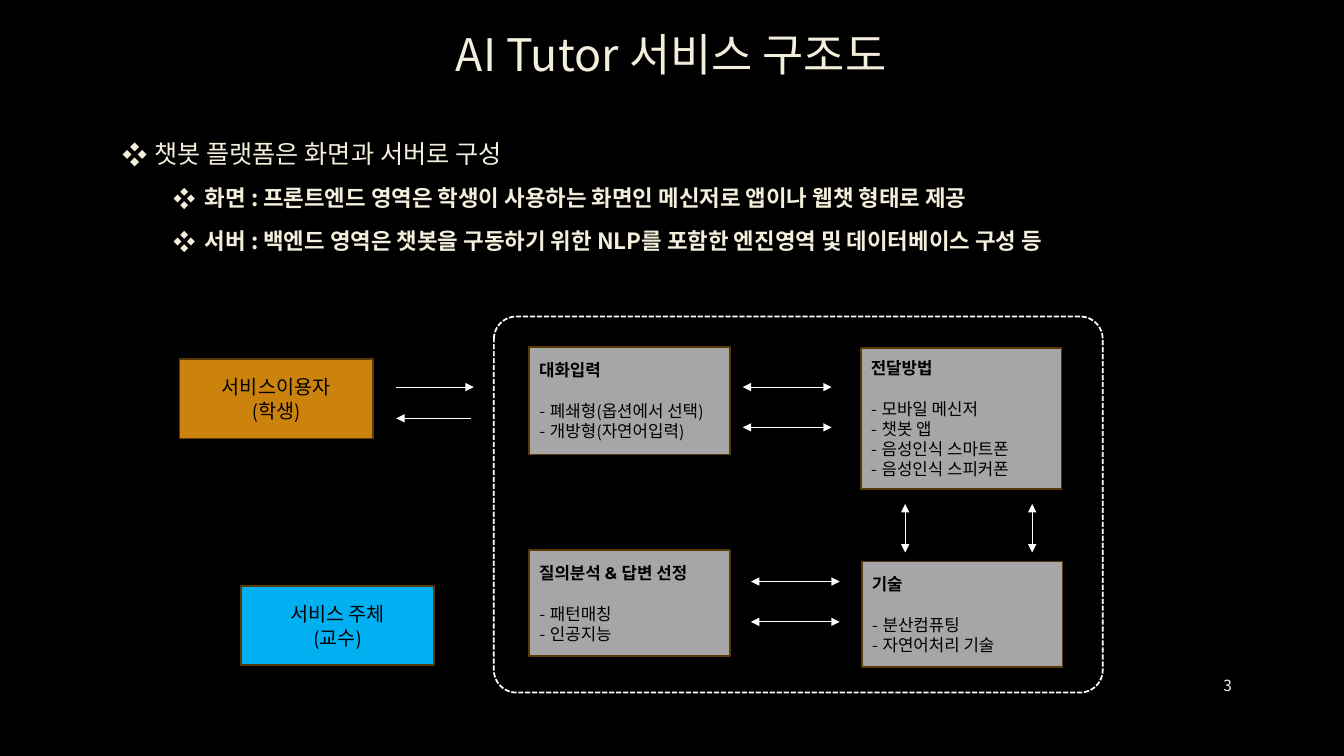
"""Build the AI Tutor service structure slide."""
from dataclasses import dataclass

from lxml import etree
from pptx import Presentation
from pptx.dml.color import RGBColor
from pptx.enum.dml import MSO_LINE
from pptx.enum.shapes import MSO_CONNECTOR, MSO_SHAPE
from pptx.enum.text import MSO_ANCHOR, MSO_AUTO_SIZE, PP_ALIGN
from pptx.oxml.ns import qn
from pptx.util import Pt

RECTANGLE, ROUNDED = MSO_SHAPE.RECTANGLE, MSO_SHAPE.ROUNDED_RECTANGLE
STRAIGHT, DASHED = MSO_CONNECTOR.STRAIGHT, MSO_LINE.SQUARE_DOT
LEFT, CENTER, RIGHT, JUSTIFY = PP_ALIGN.LEFT, PP_ALIGN.CENTER, PP_ALIGN.RIGHT, PP_ALIGN.JUSTIFY
TOP, MIDDLE = MSO_ANCHOR.TOP, MSO_ANCHOR.MIDDLE
NO_FIT, GROW = MSO_AUTO_SIZE.NONE, MSO_AUTO_SIZE.SHAPE_TO_FIT_TEXT
KOREAN, LATIN = "Noto Sans CJK KR", "Montserrat"
COLORS = {
    "background": "000000", "cream": "F4EEDC", "number": "F2F2F2", "ink": "000000",
    "user": "CC830E", "owner": "00B0F0", "card": "A6A6A6", "border": "593906",
    "white": "FFFFFF",
}


@dataclass
class Actor:
    """A person who takes part in the service."""

    left: float
    top: float
    fill: str
    lines: tuple[str, str]


@dataclass
class Card:
    """A component of the chatbot platform."""

    left: float
    top: float
    height: float
    heading: str
    items: tuple[str, ...]


@dataclass
class Arrow:
    """A straight arrow between two points."""

    start: tuple[float, float]
    end: tuple[float, float]
    double: bool = True


ACTORS = [
    Actor(128.16, 256.3, "user", ("서비스이용자", "(학생)")),
    Actor(172.1, 418.3, "owner", ("서비스 주체", "(교수)")),
]
CARDS = [
    Card(378, 247.7, 77, "대화입력", ("폐쇄형(옵션에서 선택)", "개방형(자연어입력)")),
    Card(614.9, 248.4, 100.8, "전달방법",
         ("모바일 메신저", "챗봇 앱", "음성인식 스마트폰", "음성인식 스피커폰")),
    Card(615.6, 401, 75.6, "기술", ("분산컴퓨팅", "자연어처리 기술")),
    Card(378, 393.1, 75.6, "질의분석 & 답변 선정", ("패턴매칭", "인공지능")),
]
ARROWS = [
    *(Arrow((left, top), (left + 63.4, top))
      for left, first in ((530.6, 276.5), (536.4, 415.4)) for top in (first, first + 28.8)),
    *(Arrow((left, 360), (left, 394.6)) for left in (646.6, 737.3)),
    Arrow((283, 276.5), (338.4, 276.5), double=False),
    Arrow((336.2, 298.8), (283, 298.8), double=False),
]
POINTS = [
    (0, "챗봇 플랫폼은 화면과 서버로 구성"),
    (1, "화면 : 프론트엔드 영역은 학생이 사용하는 화면인 메신저로 앱이나 웹챗 형태로 제공"),
    (1, "서버 : 백엔드 영역은 챗봇을 구동하기 위한 NLP를 포함한 엔진영역 및 데이터베이스 구성 등"),
]


def color(name: str) -> RGBColor:
    """Return a palette colour."""
    return RGBColor.from_string(COLORS[name])


def place(shape, left: float, top: float, width: float, height: float) -> None:
    """Move and size a shape in points."""
    shape.left, shape.top, shape.width, shape.height = map(Pt, (left, top, width, height))


def set_frame(frame, anchor, fit=NO_FIT) -> None:
    """Set wrapping, anchor and fitting of a text frame."""
    frame.word_wrap, frame.vertical_anchor, frame.auto_size = True, anchor, fit


def add_text(frame, text: str, *, size: float, ink: str, font: str = KOREAN,
             bold: bool = False, align=LEFT, before: float = 0, spacing: float = 1.0):
    """Write one paragraph into a text frame and return it."""
    first = frame.paragraphs[0]
    para = first if not first.runs else frame.add_paragraph()
    para.alignment, para.line_spacing = align, spacing
    para.space_before = Pt(before)
    span = para.add_run()
    span.text = text
    span.font.size, span.font.bold, span.font.name = Pt(size), bold, font
    span.font.color.rgb = color(ink)
    etree.SubElement(span.font._element, qn("a:ea"), typeface=KOREAN)
    return para


def add_bullet(para, level: int) -> None:
    """Give a paragraph a diamond bullet with a hanging indent."""
    para.level = level
    properties = para._p.get_or_add_pPr()
    properties.set("marL", str(Pt(22.5 + 36 * level)))
    properties.set("indent", str(-Pt(22.5)))
    etree.SubElement(properties, qn("a:buFont"), typeface=KOREAN)
    etree.SubElement(properties, qn("a:buChar"), char="❖")


def add_box(page, left: float, top: float, width: float, height: float, *,
            kind=RECTANGLE, fill: str | None = None, border: str = "border"):
    """Add an outlined box, filled if a colour is given."""
    box = page.shapes.add_shape(kind, *map(Pt, (left, top, width, height)))
    box.shadow.inherit = False
    if fill:
        box.fill.solid()
        box.fill.fore_color.rgb = color(fill)
    else:
        box.fill.background()
    box.line.color.rgb = color(border)
    box.line.width = Pt(1.25)
    set_frame(box.text_frame, MIDDLE)
    return box


def add_actor(page, actor: Actor) -> None:
    """Draw a participant."""
    box = add_box(page, actor.left, actor.top, 138.2, 56.9, fill=actor.fill)
    for line in actor.lines:
        add_text(box.text_frame, line, size=14, ink="ink", font=LATIN, align=CENTER)


def add_card(page, card: Card) -> None:
    """Draw a platform component with its items."""
    frame = add_box(page, card.left, card.top, 143.3, card.height, fill="card").text_frame
    add_text(frame, card.heading, size=12, ink="ink", font=LATIN, bold=True)
    for index, item in enumerate(card.items):
        add_text(frame, f"- {item}", size=12, ink="ink", font=LATIN,
                 before=0 if index else 14.6)


def add_arrow(page, arrow: Arrow) -> None:
    """Draw an arrow with one or two heads."""
    connector = page.shapes.add_connector(STRAIGHT, *map(Pt, arrow.start + arrow.end))
    connector.line.color.rgb = color("white")
    connector.line.width = Pt(0.75)
    properties = connector.element.spPr
    line = properties.find(qn("a:ln"))
    for end in ("a:headEnd", "a:tailEnd") if arrow.double else ("a:tailEnd",):
        etree.SubElement(line, qn(end), type="triangle")
    etree.SubElement(properties, qn("a:effectLst"))


def main() -> None:
    """Build and save the deck."""
    deck = Presentation()
    deck.slide_width, deck.slide_height = Pt(960), Pt(540)
    page = deck.slides.add_slide(deck.slide_layouts[1])
    page.background.fill.solid()
    page.background.fill.fore_color.rgb = color("background")

    title, body = page.shapes.title, page.placeholders[1]
    place(title, 72, 10.8, 815, 60.5)
    set_frame(title.text_frame, MIDDLE)
    add_text(title.text_frame, "AI Tutor 서비스 구조도", size=32, ink="cream",
             align=CENTER, spacing=0.9)
    place(body, 80.6, 82.1, 832.3, 99.4)
    set_frame(body.text_frame, TOP, GROW)
    for level, text in POINTS:
        para = add_text(body.text_frame, text, size=18 - 2 * level, ink="cream",
                        bold=level > 0, align=JUSTIFY, spacing=1.6)
        add_bullet(para, level)

    number = page.shapes.add_textbox(*map(Pt, (828, 475.2, 59, 28.8)))
    set_frame(number.text_frame, MIDDLE)
    add_text(number.text_frame, "3", size=11, ink="number", align=RIGHT)

    for actor in ACTORS:
        add_actor(page, actor)
    platform = add_box(page, 352.8, 226.1, 434.9, 268.6, kind=ROUNDED, border="white")
    platform.adjustments[0] = 0.06
    platform.line.dash_style = DASHED
    for card in CARDS:
        add_card(page, card)
    for arrow in ARROWS:
        add_arrow(page, arrow)
    deck.save("out.pptx")


if __name__ == "__main__":
    main()
